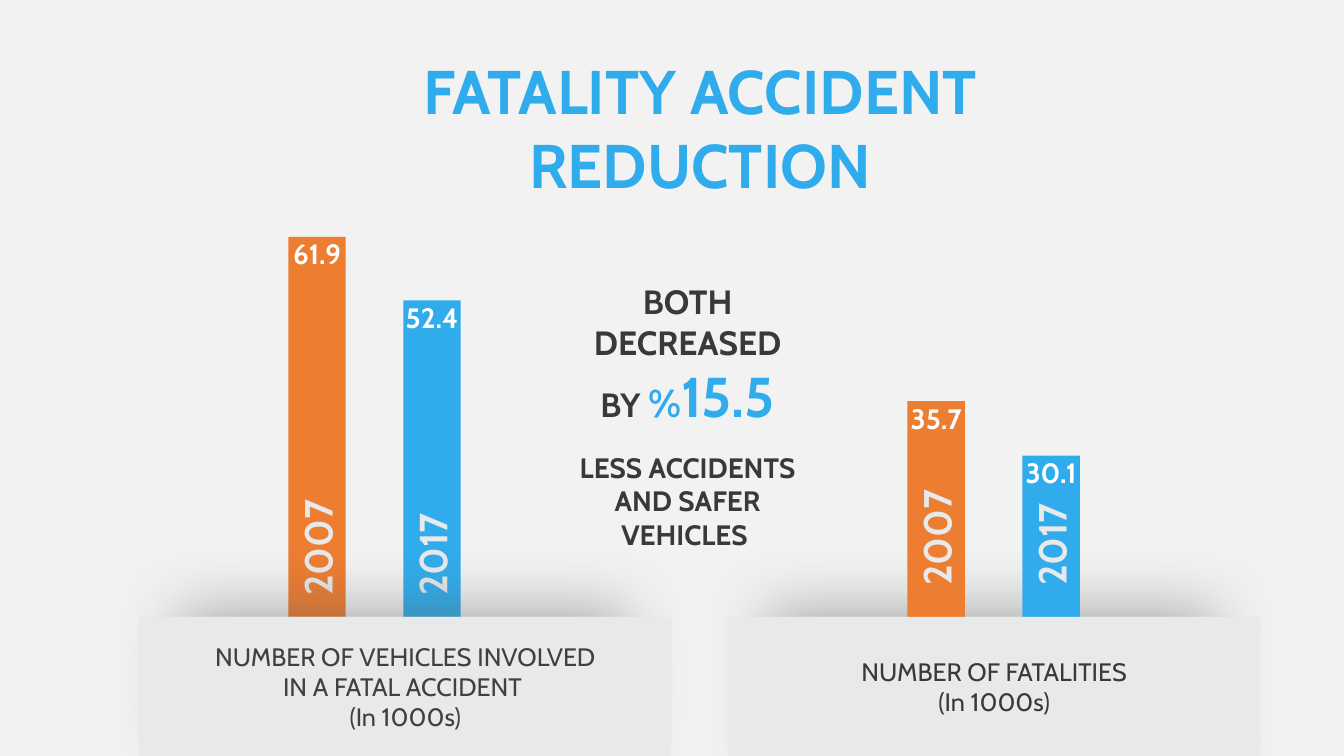
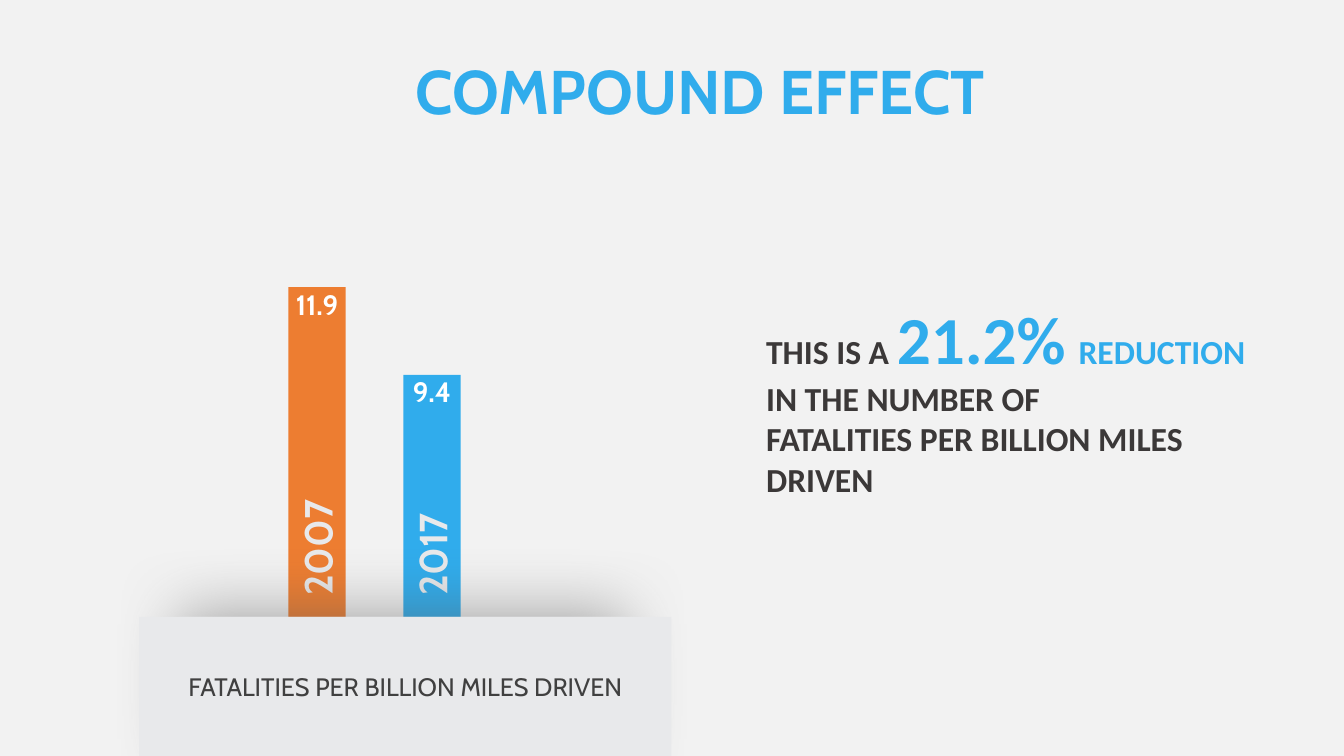
from pptx import Presentation
from pptx.dml.color import RGBColor
from pptx.enum.shapes import MSO_SHAPE
from pptx.enum.text import MSO_ANCHOR, MSO_AUTO_SIZE, PP_ALIGN
from pptx.oxml import parse_xml
from pptx.oxml.ns import nsdecls, qn
from pptx.util import Pt

EMU_PER_PX = 9144  # 100 px to the inch

BACK, PANEL, WHITE = "F2F2F2", "E8E9EB", "FFFFFF"
ORANGE, BLUE = "ED7D31", "30ACEC"
DARK, GREY, SHADE = "3B3838", "404040", "595959"


def px(n):
    return int(n * EMU_PER_PX)


def rgb(color):
    return RGBColor.from_string(color)


class Deck:
    """Holds the shared style and the slide being built."""

    FONT = "Cabin"
    TITLE = {"size": 44, "color": BLUE, "bold": True}
    YEAR = {"size": 28, "color": PANEL, "bold": True}
    VALUE = {"size": 20, "color": WHITE, "bold": True}
    CAPTION = {"size": 18, "color": GREY, "bold": False}
    BAR_WIDTH, BAR_PITCH = 57, 114
    PANEL_TOP, PANEL_WIDTH, PANEL_HEIGHT = 612, 528, 138
    SERIES = (("2007", ORANGE), ("2017", BLUE))

    def __init__(self):
        self.prs = Presentation()
        self.prs.slide_width, self.prs.slide_height = px(1333), px(750)
        self.s = None

    def new_slide(self, title):
        self.s = self.prs.slides.add_slide(self.prs.slide_layouts[6])
        fill = self.s.background.fill
        fill.solid()
        fill.fore_color.rgb = rgb(BACK)
        self.text(240, 48, 909, 84, [[(title, self.TITLE)]])

    def fill_text(self, tf, paragraphs, align, gap=0):
        """Each paragraph is a list of (text, style) runs."""
        for i, runs in enumerate(paragraphs):
            p = tf.paragraphs[0] if i == 0 else tf.add_paragraph()
            p.alignment = align
            if i and gap:
                p.space_before = Pt(gap)
            for text, style in runs:
                r = p.add_run()
                r.text = text
                values = {"name": style.get("font", self.FONT),
                          "size": Pt(style["size"]), "bold": style["bold"]}
                for key, value in values.items():
                    setattr(r.font, key, value)
                r.font.color.rgb = rgb(style["color"])

    def text(self, x, y, w, h, paragraphs, align=PP_ALIGN.CENTER, gap=0):
        sp = self.s.shapes.add_textbox(px(x), px(y), px(w), px(h))
        tf = sp.text_frame
        tf.word_wrap = True
        tf.auto_size = MSO_AUTO_SIZE.SHAPE_TO_FIT_TEXT
        self.fill_text(tf, paragraphs, align, gap)
        return sp

    def box(self, x, y, w, h, color):
        sp = self.s.shapes.add_shape(MSO_SHAPE.RECTANGLE, px(x), px(y), px(w), px(h))
        sp.shadow.inherit = False
        sp.fill.solid()
        sp.fill.fore_color.rgb = rgb(color)
        sp.line.fill.background()
        return sp

    def bars(self, x, base, year_base, bars):
        """Draw one (top, value) bar per year, side by side."""
        for i, ((year, color), (top, value)) in enumerate(zip(self.SERIES, bars)):
            left = x + i * self.BAR_PITCH
            center = left + self.BAR_WIDTH / 2
            self.box(left, top, self.BAR_WIDTH, base - top, color)
            # Turned label that starts at year_base and reads upwards
            length, height = 149, 57
            label = self.text(center - length / 2, year_base - (length + height) / 2,
                              length, height, [[(year, self.YEAR)]], PP_ALIGN.LEFT)
            label.rotation = 270
            self.text(center - 46, top - 5, 92, 44, [[(value, self.VALUE)]])

    def panel_shadow(self, x):
        sp = self.box(x + 40, self.PANEL_TOP, self.PANEL_WIDTH - 86,
                      self.PANEL_HEIGHT, PANEL)
        effects = sp.element.spPr.find(qn("a:effectLst"))
        effects.append(parse_xml(
            f'<a:outerShdw {nsdecls("a")} blurRad="{Pt(47)}" dist="{Pt(4)}" '
            f'dir="16200000" rotWithShape="0"><a:srgbClr val="{SHADE}">'
            '<a:alpha val="50000"/></a:srgbClr></a:outerShdw>'))

    def panel(self, x, lines, color=GREY):
        sp = self.box(x, self.PANEL_TOP, self.PANEL_WIDTH, self.PANEL_HEIGHT, PANEL)
        tf = sp.text_frame
        tf.word_wrap = True
        tf.vertical_anchor = MSO_ANCHOR.MIDDLE
        style = {**self.CAPTION, "color": color}
        self.fill_text(tf, [[(line, style)] for line in lines], PP_ALIGN.CENTER)

    def left_chart(self, bars, lines):
        """Bars that stand behind the panel and its shadow."""
        self.bars(286, 622, 601, bars)
        self.panel_shadow(138)
        self.panel(138, lines)


def strong(size, color=DARK, font=Deck.FONT):
    return {"size": size, "color": color, "bold": True, "font": font}


def main():
    deck = Deck()

    # Slide 1: two pairs of bars around the shared finding
    deck.new_slide("FATALITY ACCIDENT REDUCTION")
    deck.left_chart([(235, "61.9"), (298, "52.4")],
                    ["NUMBER OF VEHICLES INVOLVED", "IN A FATAL ACCIDENT ", "(In 1000s)"])
    deck.panel_shadow(722)
    deck.bars(900, 612, 591, [(398, "35.7"), (452, "30.1")])
    deck.panel(722, ["NUMBER OF FATALITIES", "(In 1000s)"], DARK)
    deck.text(559, 274, 246, 279, [
        [("BOTH DECREASED BY ", strong(24)), ("%", strong(28, BLUE)),
         ("15.5", strong(40, BLUE))],
        [("LESS ACCIDENTS AND SAFER VEHICLES ", strong(20))],
    ], gap=15)

    # Slide 2: one pair of bars and the combined rate
    deck.new_slide("COMPOUND EFFECT")
    deck.left_chart([(285, "11.9"), (372, "9.4")],
                    ["FATALITIES PER BILLION MILES DRIVEN"])
    body = strong(24, font="Calibri")
    accent = {**body, "color": BLUE}
    deck.text(750, 290, 516, 212, [
        [("THIS IS A ", body), ("21.2%", {**accent, "size": 48}),
         (" ", {**accent, "size": 40}), ("REDUCTION ", accent),
         ("IN THE NUMBER OF", body)],
        [("FATALITIES PER BILLION MILES DRIVEN", body)],
    ], PP_ALIGN.LEFT)

    deck.prs.save("out.pptx")


if __name__ == "__main__":
    main()
